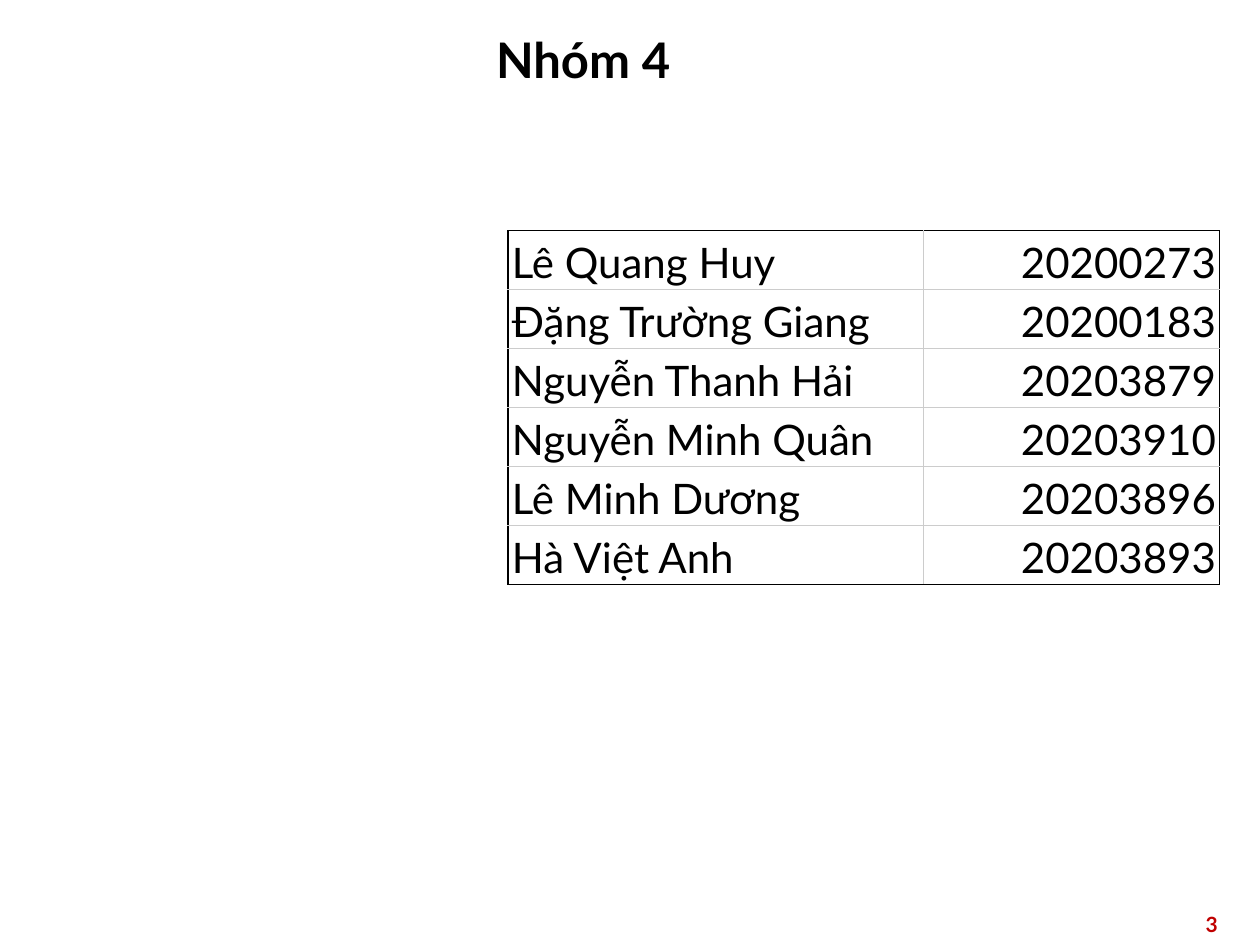
import pptx
import pptx.dml.color
import pptx.enum.text
import pptx.util
from lxml import etree
from pptx.oxml.ns import qn

Cm = pptx.util.Cm
Pt = pptx.util.Pt
ALIGN = pptx.enum.text.PP_ALIGN
ANCHOR = pptx.enum.text.MSO_ANCHOR

FONT = "Lato"
COLORS = {"text": "000000", "number": "C00000", "frame": "000000", "grid": "CCCCCC"}

MEMBERS = [
    ("Lê Quang Huy", "20200273"),
    ("Đặng Trường Giang", "20200183"),
    ("Nguyễn Thanh Hải", "20203879"),
    ("Nguyễn Minh Quân", "20203910"),
    ("Lê Minh Dương", "20203896"),
    ("Hà Việt Anh", "20203893"),
]
COL_WIDTHS = [Cm(8.38), Cm(5.97)]
ROW_HEIGHT = Cm(1.19)


def add_run(p, text, size, color="text", bold=False):
    r = p.add_run()
    r.text = text
    r.font.name = FONT
    r.font.size = Pt(size)
    r.font.bold = bold
    r.font.color.rgb = pptx.dml.color.RGBColor.from_string(COLORS[color])


def add_label(s, box, text, size, color="text", align=ALIGN.LEFT, anchor=ANCHOR.TOP):
    """Add a one-line bold text box and return its paragraph."""
    tf = s.shapes.add_textbox(*box).text_frame
    tf.word_wrap = True
    tf.vertical_anchor = anchor
    p = tf.paragraphs[0]
    p.alignment = align
    add_run(p, text, size, color, bold=True)
    return p


def set_borders(cell, outer):
    """Draw the four cell edges; sides in outer belong to the table frame."""
    tcPr = cell._tc.get_or_add_tcPr()
    for i, side in enumerate("LRTB"):
        ln = etree.Element(qn(f"a:ln{side}"), w=str(Pt(0.75)))
        fill = etree.SubElement(ln, qn("a:solidFill"))
        color = COLORS["frame" if side in outer else "grid"]
        etree.SubElement(fill, qn("a:srgbClr"), val=color)
        tcPr.insert(i, ln)


def fill_cell(cell, text, align, outer):
    cell.fill.background()
    cell.vertical_anchor = ANCHOR.BOTTOM
    cell.margin_left = cell.margin_right = Cm(0.08)
    cell.margin_top = cell.margin_bottom = Cm(0.05)
    p = cell.text_frame.paragraphs[0]
    p.alignment = align
    add_run(p, text, 24)
    set_borders(cell, outer)


def add_member_table(s, left, top):
    rows, cols = len(MEMBERS), len(COL_WIDTHS)
    table = s.shapes.add_table(
        rows, cols, left, top, sum(COL_WIDTHS), ROW_HEIGHT * rows
    ).table
    table.first_row = table.horz_banding = False
    for col, width in zip(table.columns, COL_WIDTHS):
        col.width = width
    for i, member in enumerate(MEMBERS):
        table.rows[i].height = ROW_HEIGHT
        frame = {0: "T", rows - 1: "B"}.get(i, "")
        for j, (text, align, side) in enumerate(
            zip(member, (ALIGN.LEFT, ALIGN.RIGHT), "LR")
        ):
            fill_cell(table.cell(i, j), text, align, frame + side)


def main():
    prs = pptx.Presentation()
    prs.slide_width, prs.slide_height = Cm(25.4), Cm(19.05)
    s = prs.slides.add_slide(prs.slide_layouts[6])
    title_box = (Cm(9.75), Cm(0.64), Cm(14.99), Cm(1.24))
    title = add_label(s, title_box, "Nhóm 4", 28, anchor=ANCHOR.MIDDLE)
    title.line_spacing = 0.9
    number_box = (Cm(19.08), Cm(18.26), Cm(5.72), Cm(1.02))
    add_label(s, number_box, "3", 12, "number", ALIGN.RIGHT)
    add_member_table(s, Cm(10.24), Cm(4.65))
    prs.save("out.pptx")


if __name__ == "__main__":
    main()
